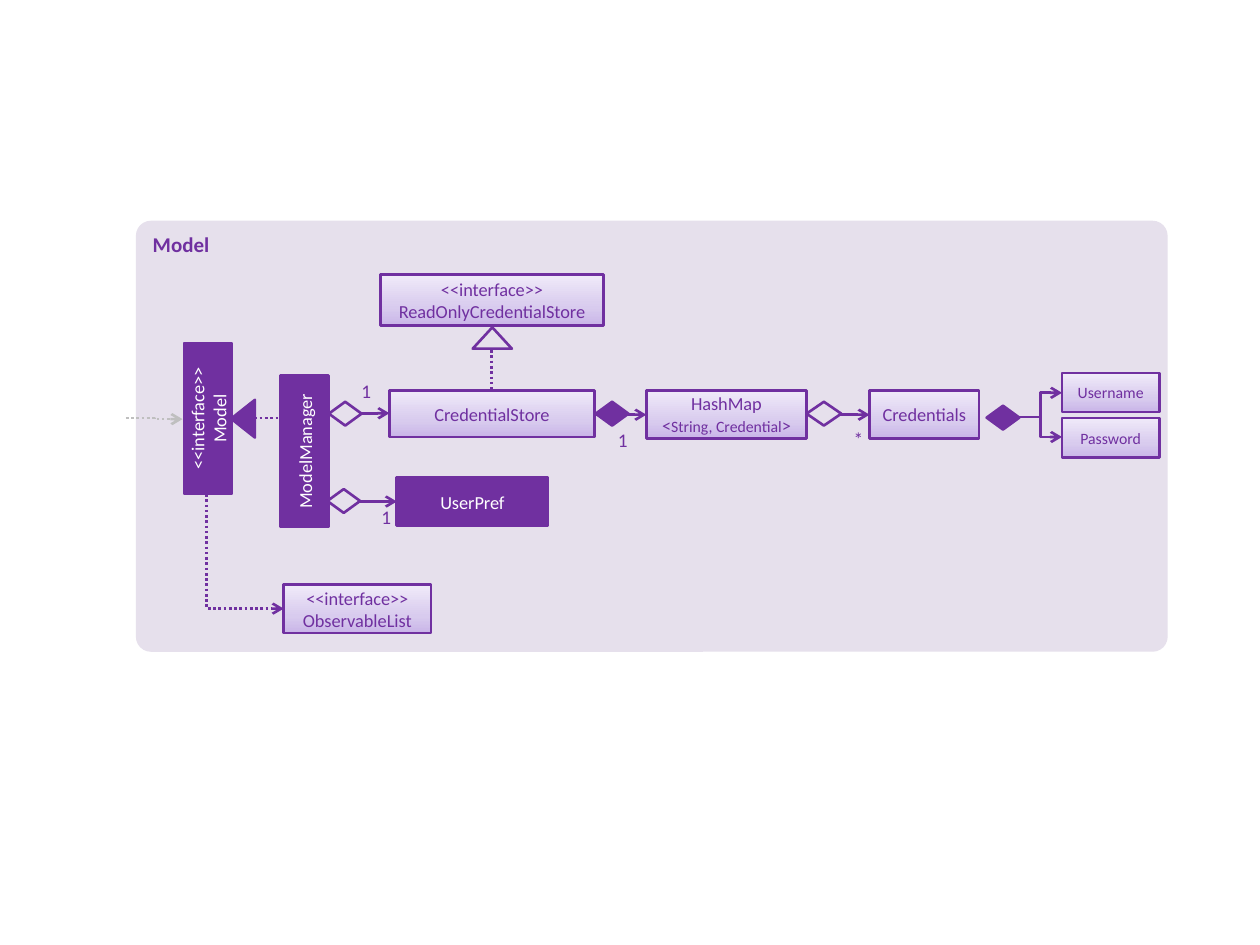
import copy

import pptx
import pptx.dml.color
import pptx.enum.dml
import pptx.enum.shapes
import pptx.enum.text
import pptx.oxml
import pptx.oxml.ns
import pptx.util

Cm = pptx.util.Cm
Pt = pptx.util.Pt
qn = pptx.oxml.ns.qn
SHAPE = pptx.enum.shapes.MSO_SHAPE
CONNECTOR = pptx.enum.shapes.MSO_CONNECTOR
ALIGN = pptx.enum.text.PP_ALIGN
ANCHOR = pptx.enum.text.MSO_ANCHOR

PURPLE, WHITE, GREY, PANEL = "7030A0", "FFFFFF", "BFBFBF", "E6E0EC"
GRADIENT = [(0, "C9B5E8"), (0.35, "D8CBEE"), (1, "F0EAF9")]
NO_INSETS = dict(margin_left=0, margin_right=0, margin_top=0, margin_bottom=0)
BOX_FRAME = dict(NO_INSETS, word_wrap=True, vertical_anchor=ANCHOR.MIDDLE)
LABEL_FRAME = dict(NO_INSETS, word_wrap=True, vertical_anchor=ANCHOR.TOP)
PANEL_FRAME = dict(word_wrap=True, vertical_anchor=ANCHOR.TOP)


def rgb(value):
    """Turn a hex string into a colour."""
    return pptx.dml.color.RGBColor.from_string(value)


def set_values(target, values):
    """Set each named attribute of the target."""
    for name, value in values.items():
        setattr(target, name, value)


def set_gradient(sp):
    """Give a shape the pale purple gradient, darkest at the bottom."""
    sp.fill.gradient()
    sp.fill.gradient_angle = 90
    stops = sp._element.spPr.find(".//" + qn("a:gsLst"))
    stops.append(copy.deepcopy(stops[0]))
    for stop, (position, color) in zip(sp.fill.gradient_stops, GRADIENT):
        stop.position = position
        stop.color.rgb = rgb(color)


def write(sp, paragraphs, color, frame, align=ALIGN.CENTER, bold=None):
    """Write paragraphs, each a list of (text, size) runs; a None size breaks the line."""
    tf = sp.text_frame
    set_values(tf, frame)
    for i, runs in enumerate(paragraphs):
        p = tf.add_paragraph() if i else tf.paragraphs[0]
        p.alignment = align
        for text, size in runs:
            if size is None:
                p.add_line_break()
                continue
            r = p.add_run()
            r.text = text
            set_values(r.font, dict(name="Calibri", size=Pt(size), bold=bold))
            r.font.color.rgb = rgb(color)


def add_shape(slide, kind, at, fill=None, line=PURPLE, rotation=0):
    """Add a preset shape with a solid fill or none."""
    sp = slide.shapes.add_shape(kind, *map(Cm, at))
    sp.shadow.inherit = False
    sp.rotation = rotation
    if fill:
        sp.fill.solid()
        sp.fill.fore_color.rgb = rgb(fill)
    else:
        sp.fill.background()
    if line:
        sp.line.color.rgb = rgb(line)
        sp.line.width = Pt(1.5)
    else:
        sp.line.fill.background()
    return sp


def add_panel(slide, at, title):
    """Add the rounded backdrop and its heading."""
    sp = add_shape(slide, SHAPE.ROUNDED_RECTANGLE, at, PANEL, None)
    sp.adjustments[0] = 0.035
    write(sp, [[(title, 12)]], PURPLE, PANEL_FRAME, ALIGN.LEFT, True)


def add_class(slide, at, paragraphs, solid=False, rotation=0):
    """Add a class box, solid purple or with the gradient."""
    sp = add_shape(slide, SHAPE.RECTANGLE, at, PURPLE, rotation=rotation)
    if not solid:
        set_gradient(sp)
    write(sp, paragraphs, WHITE if solid else PURPLE, BOX_FRAME)


def add_link(slide, points, color=PURPLE, dotted=False, arrow=True, elbow=False):
    """Add a straight or elbow connector."""
    kind = CONNECTOR.ELBOW if elbow else CONNECTOR.STRAIGHT
    link = slide.shapes.add_connector(kind, *map(Cm, points))
    link.line.color.rgb = rgb(color)
    link.line.width = Pt(1.5)
    if dotted:
        link.line.dash_style = pptx.enum.dml.MSO_LINE.ROUND_DOT
    if arrow:
        tail = pptx.oxml.parse_xml(
            '<a:tailEnd xmlns:a="http://schemas.openxmlformats.org/drawingml/2006/main" type="arrow"/>')
        link.line._get_or_add_ln().append(tail)
    spPr = link._element.spPr
    spPr.append(spPr.makeelement(qn("a:effectLst"), {}))
    return link


def add_corner_link(slide, x1, y1, x2, y2):
    """Add a dotted arrow that runs down and then right."""
    w, h = y2 - y1, x2 - x1
    left, top = (x1 + x2 - w) / 2, (y1 + y2 - h) / 2
    link = add_link(slide, (left, top, left + w, top + h), dotted=True, elbow=True)
    spPr = link._element.spPr
    spPr.find(qn("a:prstGeom")).set("prst", "bentConnector2")
    xfrm = spPr.find(qn("a:xfrm"))
    xfrm.set("rot", "16200000")
    xfrm.set("flipH", "1")


def add_label(slide, x, y, text):
    """Add a multiplicity label."""
    sp = slide.shapes.add_textbox(Cm(x), Cm(y), Cm(0.53), Cm(0.51))
    write(sp, [[(text, 11)]], PURPLE, LABEL_FRAME)


def main():
    """Build the model class diagram."""
    prs = pptx.Presentation()
    prs.slide_width, prs.slide_height = Cm(25.4), Cm(19.05)
    slide = prs.slides.add_slide(prs.slide_layouts[6])
    add_panel(slide, (2.74, 4.45, 20.8, 8.69), "Model")

    interface, br = ("<<interface>>", 10.5), ("", None)
    for at, names, rotation in [
        ((8, 9.63, 3.05, 0.97), ["UserPref"], 0),
        ((4.62, 8.61, 3.05, 0.97), ["ModelManager"], 270),
        ((2.67, 7.95, 3.05, 0.97), ["<<interface>>", "Model"], 270),
    ]:
        add_class(slide, at, [[(name, 10.5)] for name in names], True, rotation)
    for at, runs in [
        ((7.85, 7.87, 4.14, 0.94), [("CredentialStore", 10.5)]),
        ((13.03, 7.87, 3.23, 0.97),
         [("HashMap", 10.5), br, ("<", 10.5), ("String, Credential", 9), (">", 10.5)]),
        ((17.53, 7.87, 2.21, 0.97), [("Credentials", 10.5)]),
        ((21.41, 7.52, 1.96, 0.79), [("Username", 9)]),
        ((21.41, 8.43, 1.96, 0.79), [("Password", 9)]),
        ((5.72, 11.79, 2.97, 0.97), [interface, br, ("ObservableList", 10.5)]),
        ((7.67, 5.54, 4.5, 1.02), [interface, br, ("ReadOnlyCredentialStore", 10.5)]),
    ]:
        add_class(slide, at, [runs])

    add_shape(slide, SHAPE.ISOSCELES_TRIANGLE, (4.52, 8.2, 0.76, 0.48), PURPLE, rotation=270)
    add_shape(slide, SHAPE.ISOSCELES_TRIANGLE, (9.53, 6.6, 0.79, 0.43))
    for x, y, w, fill in [(6.6, 9.86, 0.66, None), (6.63, 8.1, 0.66, None),
                          (12.01, 8.1, 0.66, PURPLE), (16.26, 8.1, 0.7, None),
                          (19.89, 8.18, 0.66, PURPLE)]:
        add_shape(slide, SHAPE.FLOWCHART_DECISION, (x, y, w, 0.48), fill)

    for x1, x2, y in [(7.24, 8, 10.11), (7.29, 7.85, 8.33),
                      (12.01, 13.03, 8.36), (16.94, 17.53, 8.36)]:
        add_link(slide, (x1, y, x2, y))
    for y in (7.92, 8.81):
        add_link(slide, (20.55, 8.41, 21.41, y), elbow=True)
    add_link(slide, (2.54, 8.43, 3.68, 8.45), GREY, dotted=True, elbow=True)
    add_link(slide, (5.13, 8.43, 5.74, 8.43), dotted=True, arrow=False)
    add_link(slide, (9.91, 7.06, 9.91, 7.87), dotted=True, arrow=False)
    add_corner_link(slide, 4.17, 9.96, 5.72, 12.27)

    for x, y, text in [(12.29, 8.64, "1"), (17.04, 8.61, "*"),
                       (7.12, 7.65, "1"), (7.52, 10.19, "1")]:
        add_label(slide, x, y, text)
    prs.save("out.pptx")


main()
